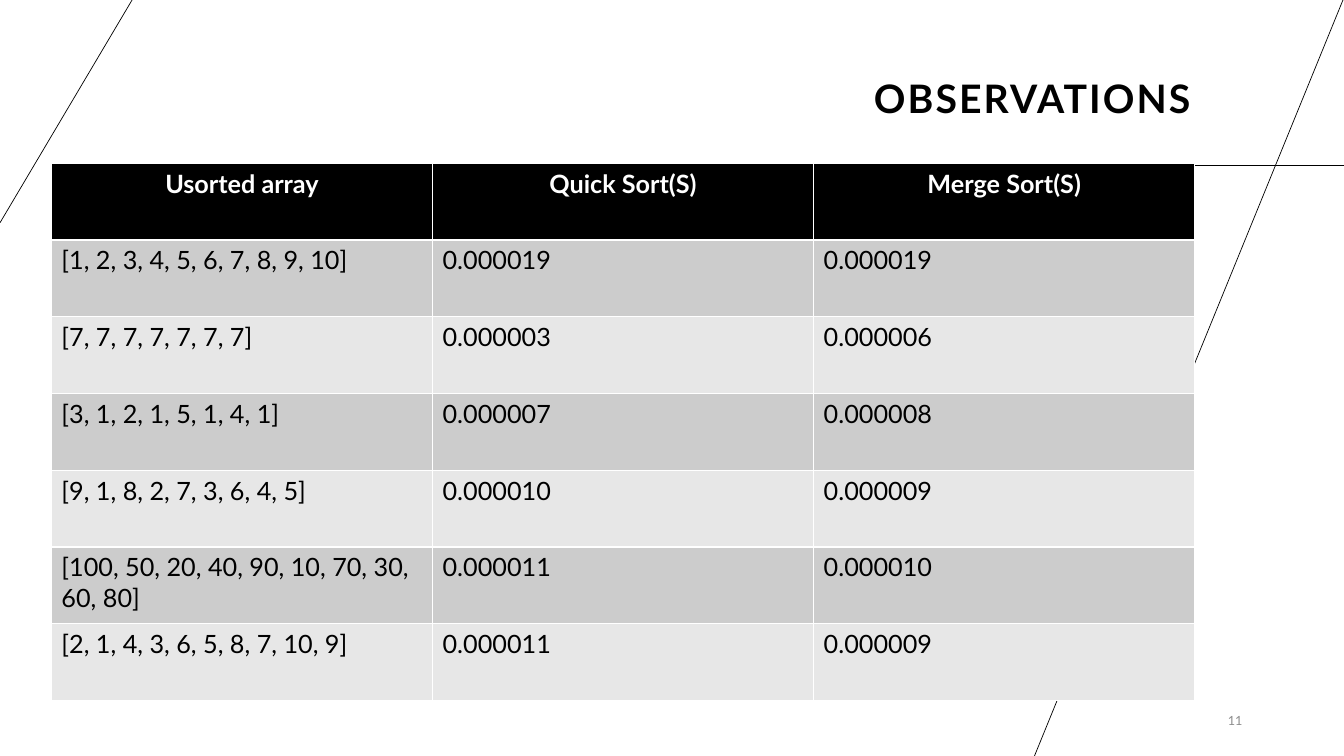
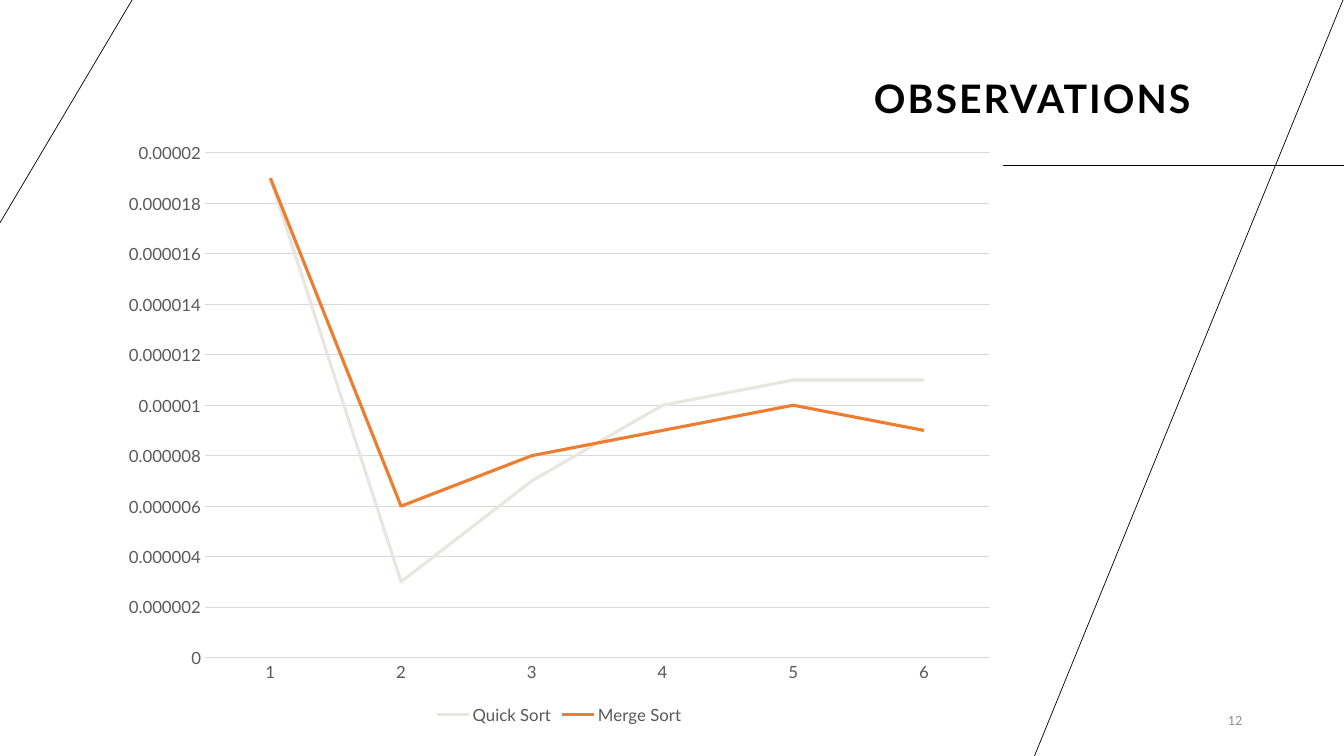
from lxml.etree import SubElement
from pptx import Presentation
from pptx.chart.data import CategoryChartData
from pptx.dml.color import RGBColor
from pptx.enum.chart import XL_CHART_TYPE as ChartType, XL_LEGEND_POSITION as LegendPosition
from pptx.enum.chart import XL_TICK_MARK as TickMark
from pptx.enum.shapes import MSO_CONNECTOR as Connector
from pptx.enum.text import MSO_ANCHOR as Anchor, PP_ALIGN as Align
from pptx.oxml.ns import qn
from pptx.util import Inches, Pt

THEME = {
    "font": "Lato",
    "black": RGBColor(0x00, 0x00, 0x00),
    "white": RGBColor(0xFF, 0xFF, 0xFF),
    "bands": [RGBColor(0xCC, 0xCC, 0xCC), RGBColor(0xE7, 0xE7, 0xE7)],
    "page_grey": RGBColor(0x8C, 0x8C, 0x8C),
    "label_grey": RGBColor(0x59, 0x59, 0x59),
    "grid_grey": RGBColor(0xD9, 0xD9, 0xD9),
    "series": [RGBColor(0xE9, 0xE6, 0xDF), RGBColor(0xED, 0x7D, 0x31)],
    "title_size": Pt(28),
    "table_size": Pt(18),
    "label_size": Pt(12),
    "page_size": Pt(9),
    "hairline": Pt(0.5),
    "grid_line": Pt(0.75),
    "series_line": Pt(2.25),
}

MEASUREMENTS = [
    ("[1, 2, 3, 4, 5, 6, 7, 8, 9, 10]", 0.000019, 0.000019),
    ("[7, 7, 7, 7, 7, 7, 7]", 0.000003, 0.000006),
    ("[3, 1, 2, 1, 5, 1, 4, 1]", 0.000007, 0.000008),
    ("[9, 1, 8, 2, 7, 3, 6, 4, 5]", 0.000010, 0.000009),
    ("[100, 50, 20, 40, 90, 10, 70, 30, 60, 80]", 0.000011, 0.000010),
    ("[2, 1, 4, 3, 6, 5, 8, 7, 10, 9]", 0.000011, 0.000009),
]
ALGORITHMS = ["Quick Sort", "Merge Sort"]
FIRST_PAGE = 11

ACCENT_LINES = [
    (9.95, 1.64, 13.33, 1.64),
    (13.32, 0, 10.26, 7.5),
    (0, 2.21, 1.31, 0),
]


def set_font(font, size, color, bold=False):
    for name, value in {"name": THEME["font"], "size": size, "bold": bold}.items():
        setattr(font, name, value)
    font.color.rgb = color


def add_text(slide, box, text, anchor, align, size, color, bold=False):
    frame = slide.shapes.add_textbox(*map(Inches, box)).text_frame
    for name, value in {"word_wrap": True, "vertical_anchor": anchor}.items():
        setattr(frame, name, value)
    paragraph = frame.paragraphs[0]
    paragraph.alignment = align
    run = paragraph.add_run()
    run.text = text
    set_font(run.font, size, color, bold)
    return paragraph


prs = Presentation()
prs.slide_width, prs.slide_height = Inches(13.33), Inches(7.5)
blank = prs.slide_layouts[6]
table_slide, chart_slide = [prs.slides.add_slide(blank) for _ in range(2)]

for page, slide in enumerate(prs.slides, FIRST_PAGE):
    for ends in ACCENT_LINES:
        accent = slide.shapes.add_connector(Connector.STRAIGHT, *map(Inches, ends))
        accent.line.color.rgb = THEME["black"]
        accent.line.width = THEME["hairline"]
        SubElement(accent._element.spPr, qn("a:effectLst"))
    heading = add_text(slide, (8.57, 0.43, 3.64, 0.83), "OBSERVATIONS", Anchor.BOTTOM,
                       Align.LEFT, THEME["title_size"], THEME["black"], True)
    heading.line_spacing = 0.9
    heading.runs[0].font._element.set("spc", "150")
    add_text(slide, (11.34, 6.95, 1.08, 0.4), str(page), Anchor.MIDDLE,
             Align.RIGHT, THEME["page_size"], THEME["page_grey"])

rows = [["Usorted array"] + [f"{name}(S)" for name in ALGORITHMS]]
rows += [[array, f"{quick:.6f}", f"{merge:.6f}"] for array, quick, merge in MEASUREMENTS]
timings = table_slide.shapes.add_table(
    len(rows), len(rows[0]), Inches(0.51), Inches(1.62), Inches(11.34), Inches(5.33)).table
for row_index, row in enumerate(rows):
    header = row_index == 0
    fill = THEME["black"] if header else THEME["bands"][(row_index - 1) % 2]
    ink = THEME["white"] if header else THEME["black"]
    for column_index, text in enumerate(row):
        cell = timings.cell(row_index, column_index)
        cell.text = text
        cell.fill.solid()
        cell.fill.fore_color.rgb = fill
        paragraph = cell.text_frame.paragraphs[0]
        paragraph.alignment = Align.CENTER if header else Align.LEFT
        set_font(paragraph.runs[0].font, THEME["table_size"], ink, header)

data = CategoryChartData()
data.categories = [str(number) for number in range(1, len(MEASUREMENTS) + 1)]
for column, name in enumerate(ALGORITHMS, 1):
    data.add_series(name, [measurement[column] for measurement in MEASUREMENTS])
chart = chart_slide.shapes.add_chart(
    ChartType.LINE, Inches(1.1), Inches(1.3), Inches(8.89), Inches(5.93), data).chart
set_font(chart.font, THEME["label_size"], THEME["label_grey"])
for name, value in {"has_title": False, "has_legend": True}.items():
    setattr(chart, name, value)
for name, value in {"position": LegendPosition.BOTTOM, "include_in_layout": False}.items():
    setattr(chart.legend, name, value)
set_font(chart.legend.font, THEME["label_size"], THEME["label_grey"])

cases, seconds = chart.category_axis, chart.value_axis
for axis in (cases, seconds):
    for name in ("major_tick_mark", "minor_tick_mark"):
        setattr(axis, name, TickMark.NONE)
    set_font(axis.tick_labels.font, THEME["label_size"], THEME["label_grey"])
scale = {"minimum_scale": 0, "maximum_scale": 0.00002, "major_unit": 0.000002,
         "has_major_gridlines": True}
for name, value in scale.items():
    setattr(seconds, name, value)
seconds.format.line.fill.background()
for line in (cases.format.line, seconds.major_gridlines.format.line):
    line.color.rgb = THEME["grid_grey"]
    line.width = THEME["grid_line"]

plot = chart.plots[0]
plot.vary_by_categories = False
for series, color in zip(plot.series, THEME["series"]):
    series.smooth = False
    series.format.line.color.rgb = color
    series.format.line.width = THEME["series_line"]

prs.save("out.pptx")
